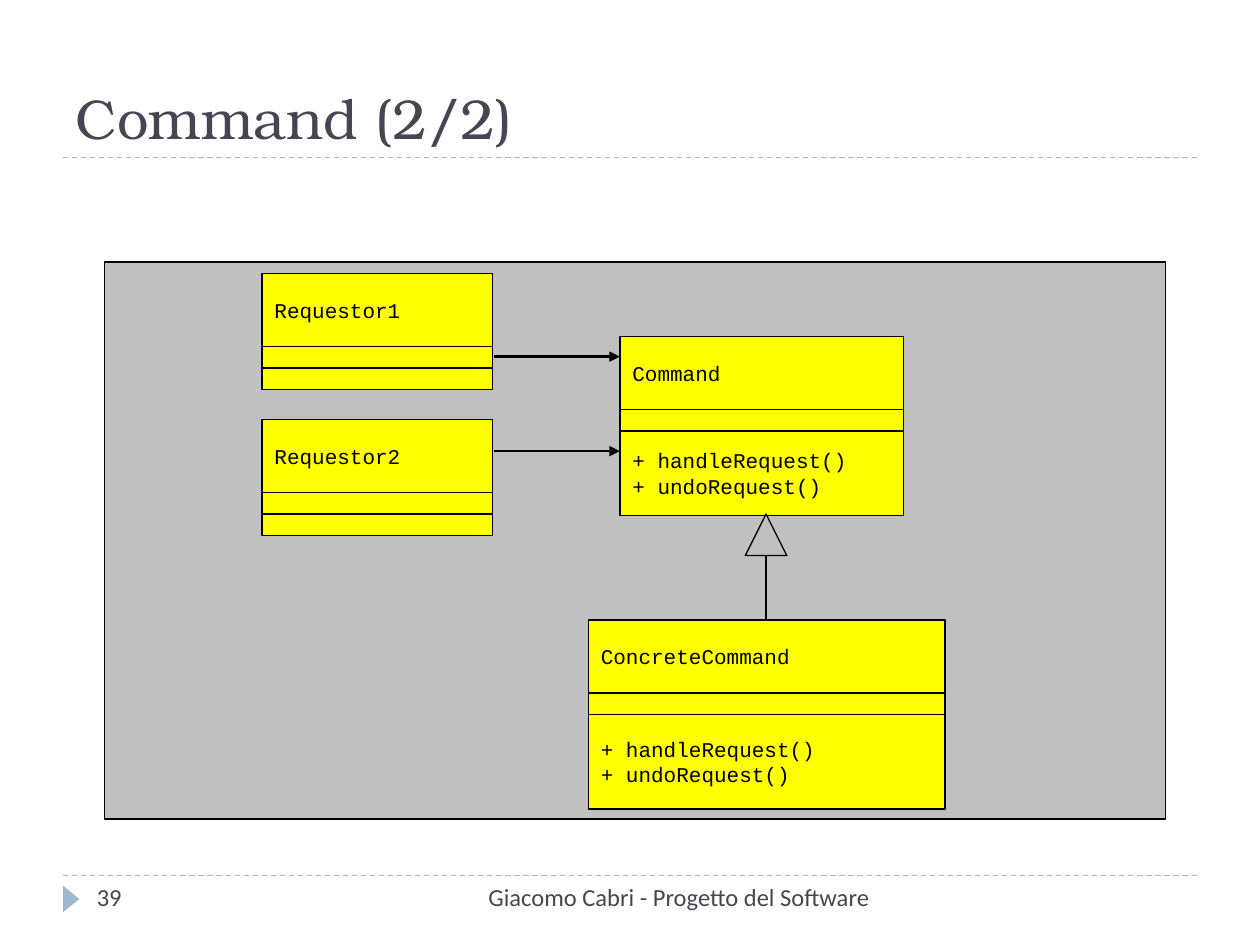
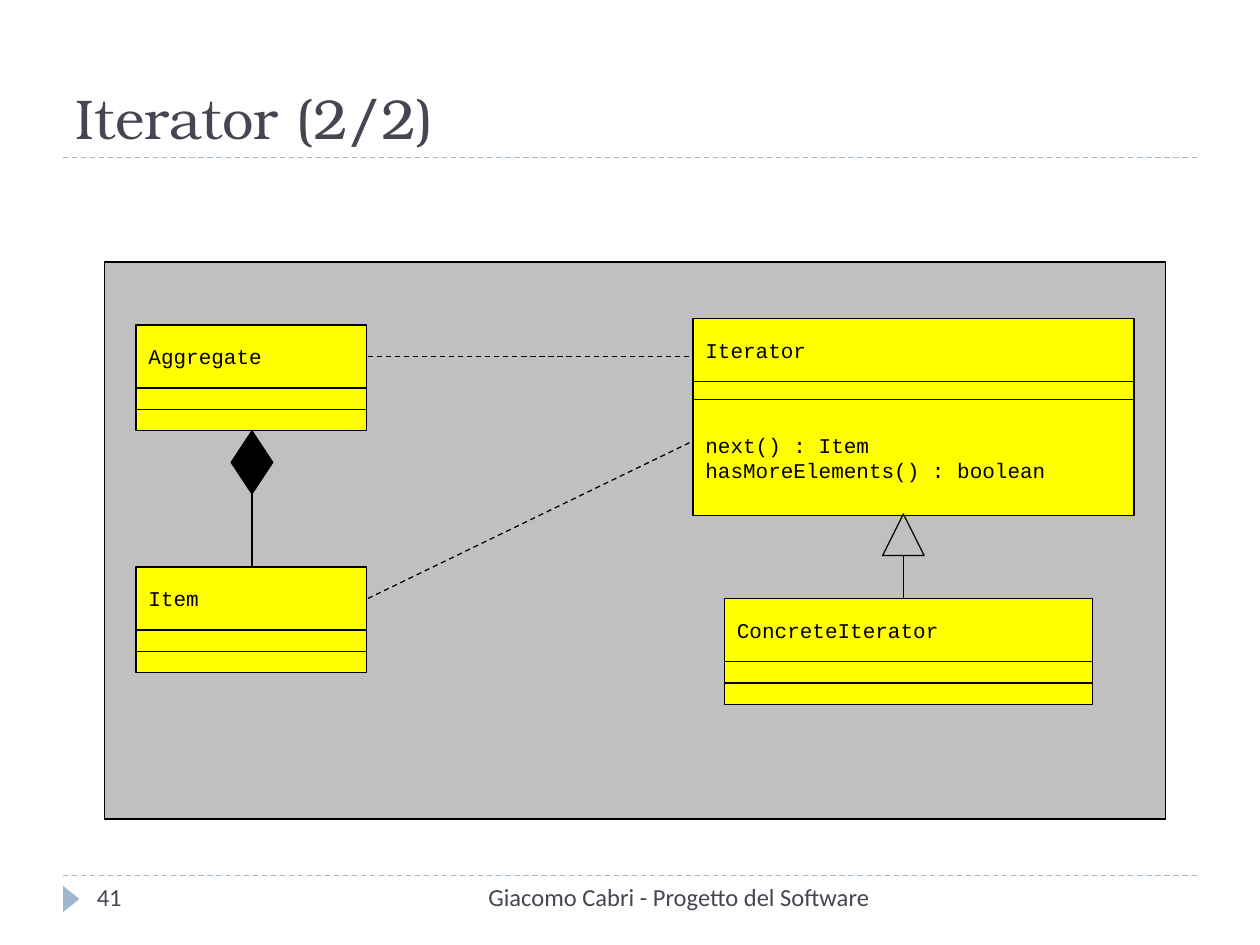
from pptx import Presentation
from pptx import util as u
from pptx.dml import color
from pptx.enum import dml, shapes, text
from pptx.oxml import ns, xmlchemy

INK, BLACK, PALE = "464653", "000000", "9FB8CD"
YELLOW, GREY = "FFFF00", "C0C0C0"
SERIF, SANS, MONO = "TeX Gyre Bonum", "Calibri", "Courier New"
SHAPE = shapes.MSO_SHAPE
LEFT, RIGHT = text.PP_ALIGN.LEFT, text.PP_ALIGN.RIGHT
TOP, MIDDLE, BOTTOM = (text.MSO_ANCHOR.TOP, text.MSO_ANCHOR.MIDDLE,
                       text.MSO_ANCHOR.BOTTOM)
BAR = 0.17      # height of an empty class compartment
ARM = 0.33      # width of the triangle and diamond symbols


def rgb(code):
    return color.RGBColor.from_string(code)


def box(*sizes):
    return [u.Inches(size) for size in sizes]


# Text
def write(shape, lines, size, font, ink, align=LEFT, anchor=TOP):
    frame = shape.text_frame
    frame.word_wrap = True
    frame.auto_size = text.MSO_AUTO_SIZE.NONE
    frame.vertical_anchor = anchor
    for i, line in enumerate(lines):
        para = frame.add_paragraph() if i else frame.paragraphs[0]
        para.alignment = align
        run = para.add_run()
        run.text = line
        run.font.size = u.Pt(size)
        run.font.name = font
        run.font.color.rgb = rgb(ink)


def label(slide, words, place, align=LEFT):
    area = slide.shapes.add_textbox(*box(*place))
    write(area, [words], 14, SANS, INK, align)


# Shapes and lines
def draw(parent, kind, place, fill=None, edge=BLACK):
    shape = parent.shapes.add_shape(kind, *box(*place))
    shape.shadow.inherit = False
    if fill:
        shape.fill.solid()
        shape.fill.fore_color.rgb = rgb(fill)
    else:
        shape.fill.background()
    if edge:
        shape.line.color.rgb = rgb(edge)
        shape.line.width = u.Pt(0.75)
    else:
        shape.line.fill.background()
    return shape


def link(slide, start, end, ink=BLACK, width=0.75, dash=False, arrow=False):
    line = slide.shapes.add_connector(
        shapes.MSO_CONNECTOR.STRAIGHT, *box(*start, *end))
    line.line.color.rgb = rgb(ink)
    line.line.width = u.Pt(width)
    if dash:
        line.line.dash_style = dml.MSO_LINE.DASH
    if arrow:
        tip = xmlchemy.OxmlElement("a:tailEnd")
        tip.set("type", "triangle")
        line.line._get_or_add_ln().append(tip)
    props = line._element.find(ns.qn("p:spPr"))
    props.append(xmlchemy.OxmlElement("a:effectLst"))


# UML parts
def entity(slide, name, left, top, width, head, ops=(), foot=BAR, bar=BAR):
    """A class: name, empty attributes and operations, stacked."""
    group = slide.shapes.add_group_shape()
    for lines, high in (([name], head), ((), bar), (ops, foot)):
        cell = draw(group, SHAPE.RECTANGLE, (left, top, width, high), YELLOW)
        if lines:
            write(cell, lines, 12, MONO, BLACK, anchor=MIDDLE)
        top += high


def inherit(slide, mid, top, end):
    draw(slide, SHAPE.ISOSCELES_TRIANGLE, (mid - ARM / 2, top, ARM, ARM))
    link(slide, (mid, top + ARM), (mid, end))


def compose(slide, mid, top, end):
    draw(slide, SHAPE.DIAMOND, (mid - ARM / 2, top, ARM, 0.5), BLACK)
    link(slide, (mid, top + 0.5), (mid, end))


# Shared frame of every slide
def page(deck, title, number):
    slide = deck.slides.add_slide(deck.slide_layouts[5])
    for y in (6.95, 1.25):
        link(slide, (0.5, y), (9.5, y), PALE, dash=True)
    mark = draw(slide, SHAPE.ISOSCELES_TRIANGLE, (0.46, 7.07, 0.21, 0.13),
                PALE, None)
    mark.rotation = 90
    head = slide.shapes.title
    head.left, head.top, head.width, head.height = box(0.5, 0.25, 9, 1)
    write(head, [title], 32, SERIF, INK, anchor=BOTTOM)
    label(slide, "Giacomo Cabri - Progetto del Software",
          (3.17, 6.95, 3.83, 0.4), RIGHT)
    label(slide, number, (0.67, 6.95, 2.17, 0.4))
    draw(slide, SHAPE.RECTANGLE, (0.83, 2.08, 8.42, 4.42), GREY)
    return slide


def command(deck):
    slide = page(deck, "Command (2/2)", "39")
    ops = ["+ handleRequest()", "+ undoRequest()"]
    entity(slide, "ConcreteCommand", 4.67, 4.92, 2.83, 0.58, ops, 0.75)
    entity(slide, "Command", 4.92, 2.67, 2.25, 0.58, ops, 0.67)
    inherit(slide, 6.08, 4.08, 4.92)
    for name, top, y in (("Requestor1", 2.17, 2.83),
                         ("Requestor2", 3.33, 3.58)):
        entity(slide, name, 2.08, top, 1.83, 0.58)
        link(slide, (3.92, y), (4.92, y), width=1.5, arrow=True)


def iterator(deck):
    slide = page(deck, "Iterator (2/2)", "41")
    ops = ["next() : Item", "hasMoreElements() : boolean"]
    entity(slide, "Iterator", 5.5, 2.53, 3.5, 0.5, ops, 0.92, 0.14)
    entity(slide, "ConcreteIterator", 5.75, 4.75, 2.92, 0.5)
    inherit(slide, 7.17, 4.08, 4.75)
    entity(slide, "Aggregate", 1.08, 2.58, 1.83, 0.5)
    compose(slide, 2, 3.42, 4.5)
    entity(slide, "Item", 1.08, 4.5, 1.83, 0.5)
    for start, end in ((2.83, 2.83), (4.75, 3.5)):
        link(slide, (2.92, start), (5.5, end), dash=True)


def main():
    deck = Presentation()
    deck.slide_width, deck.slide_height = box(10, 7.5)
    command(deck)
    iterator(deck)
    deck.save("out.pptx")


if __name__ == "__main__":
    main()
